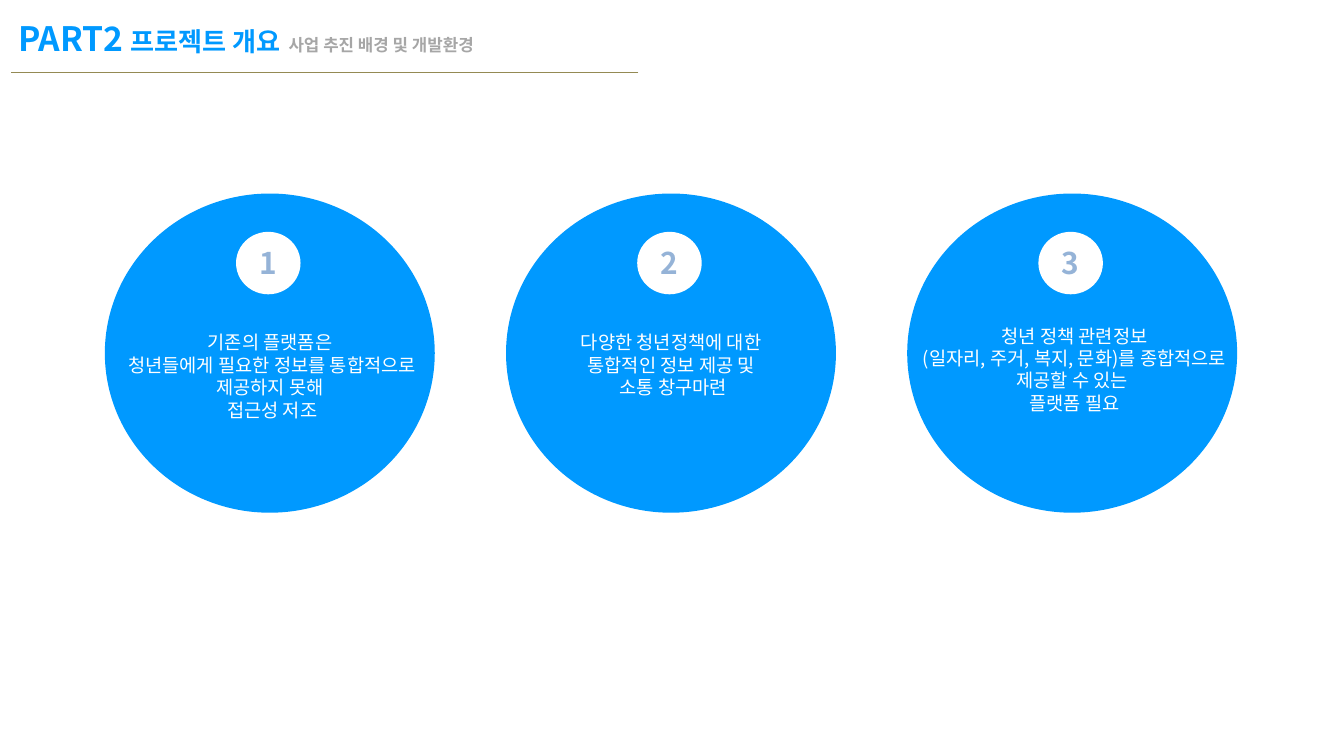
from lxml.etree import SubElement
from pptx import Presentation
from pptx.dml.color import RGBColor
from pptx.enum.shapes import MSO_CONNECTOR, MSO_SHAPE
from pptx.enum.text import MSO_ANCHOR, MSO_AUTO_SIZE, PP_ALIGN
from pptx.oxml.ns import qn
from pptx.util import Pt

FONT = "Noto Sans CJK KR"
BLUE = "0099FF"
WHITE = "FFFFFF"


def rgb(value):
    return RGBColor.from_string(value)


def add_text(para, text, size=20, color=WHITE, bold=False, align=PP_ALIGN.CENTER):
    para.alignment = align
    span = para.add_run()
    span.text = text
    span.font.size = Pt(size)
    span.font.bold = bold
    span.font.color.rgb = rgb(color)
    span.font.name = FONT
    SubElement(span.font._element, qn("a:ea"), typeface=FONT)


deck = Presentation()
deck.slide_width, deck.slide_height = Pt(1440), Pt(810)
page = deck.slides.add_slide(deck.slide_layouts[5])

# Title
title = page.shapes.title
title.left, title.top, title.width, title.height = Pt(12.24), Pt(15.12), Pt(887.76), Pt(51.12)
title.text_frame.vertical_anchor = MSO_ANCHOR.TOP
title.text_frame.auto_size = MSO_AUTO_SIZE.NONE
for text, size, color in [
    ("PART2 ", 36, BLUE),
    ("프로젝트 개요", 28, BLUE),
    (" ", 36, BLUE),
    ("사업 추진 배경 및 개발환경", 18, "A6A6A6"),
]:
    add_text(title.text_frame.paragraphs[0], text, size=size, color=color,
             bold=True, align=PP_ALIGN.JUSTIFY)

# Line under the title
rule = page.shapes.add_connector(MSO_CONNECTOR.STRAIGHT, Pt(684), Pt(77.76), Pt(12.24), Pt(77.76))
rule.line.color.rgb = rgb("948A54")
rule.line.width = Pt(1.5)
SubElement(rule._element.spPr, qn("a:effectLst"))

# Numbered circles with their reasons
reasons = [
    (351.36, 102.96, ["기존의 플랫폼은 ", "청년들에게 필요한 정보를 통합적으로 제공하지 못해 ", "접근성 저조"]),
    (351.36, 79.2, ["다양한 청년정책에 대한 ", "통합적인 정보 제공 및 ", "소통 창구마련"]),
    (344.16, 102.96, ["청년 정책 관련정보", "(일자리, 주거, 복지, 문화)를 종합적으로 제공할 수 있는 ", "플랫폼 필요"]),
]
for index, (top, height, lines) in enumerate(reasons):
    left = 112.32 + index * 429.84
    circle = page.shapes.add_shape(MSO_SHAPE.OVAL, Pt(left), Pt(207.36), Pt(353.52), Pt(342))
    badge = page.shapes.add_shape(MSO_SHAPE.OVAL, Pt(left + 140.6), Pt(248.4), Pt(69.12), Pt(66.96))
    for oval, color in [(circle, BLUE), (badge, WHITE)]:
        oval.shadow.inherit = False
        oval.fill.solid()
        oval.fill.fore_color.rgb = rgb(color)
        oval.line.fill.background()
    badge.text_frame.vertical_anchor = MSO_ANCHOR.MIDDLE
    add_text(badge.text_frame.paragraphs[0], str(index + 1), size=32, color="95B3D7", bold=True)

    box = page.shapes.add_textbox(Pt(left + 2.5), Pt(top), Pt(353.52), Pt(height))
    frame = box.text_frame
    frame.word_wrap = True
    frame.auto_size = MSO_AUTO_SIZE.SHAPE_TO_FIT_TEXT
    for number, line in enumerate(lines):
        para = frame.add_paragraph() if number else frame.paragraphs[0]
        add_text(para, line)

deck.save("out.pptx")
